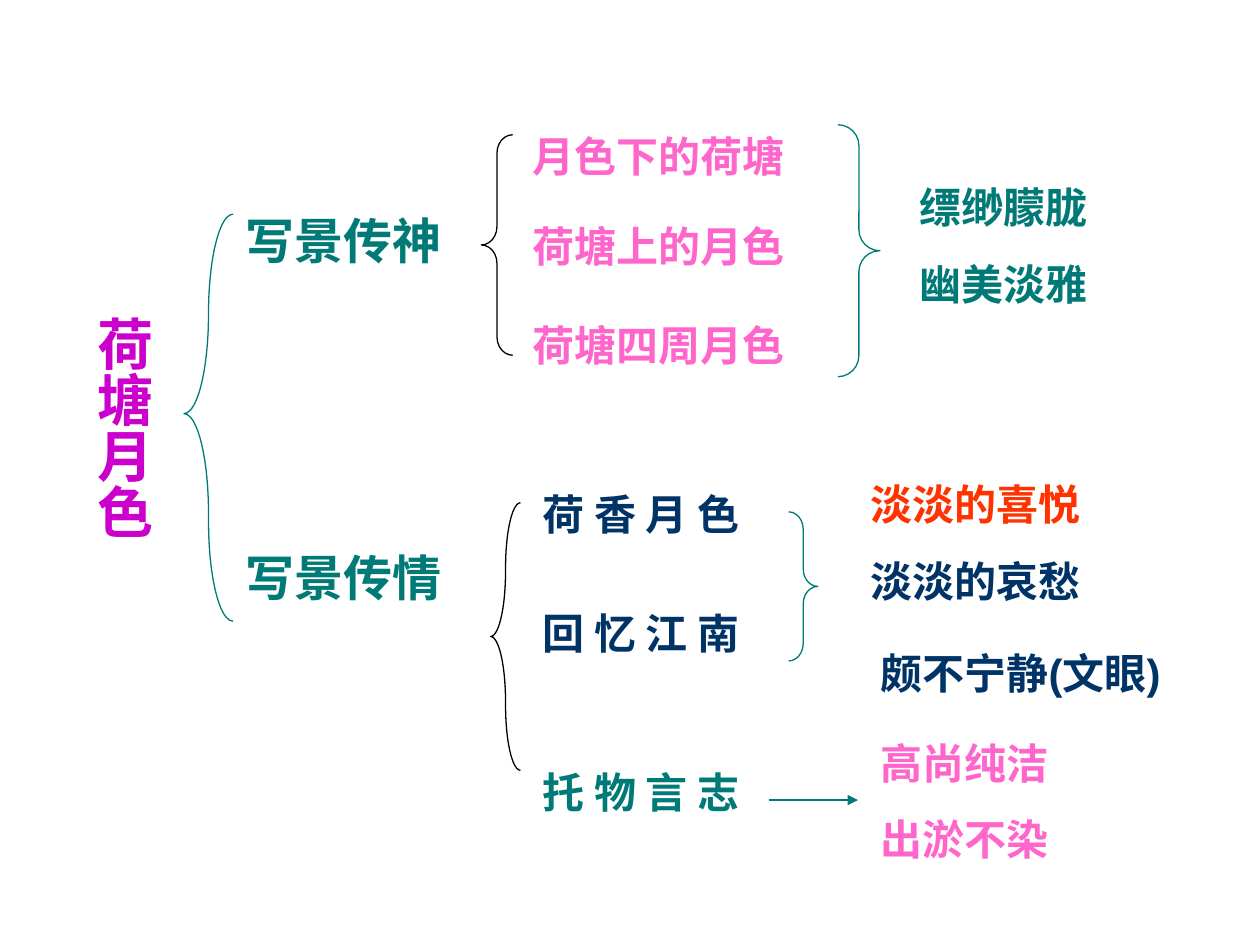
from dataclasses import dataclass

from lxml import etree
from pptx import Presentation
from pptx.dml.color import RGBColor
from pptx.enum.lang import MSO_LANGUAGE_ID
from pptx.enum.shapes import MSO_CONNECTOR, MSO_SHAPE
from pptx.enum.text import MSO_ANCHOR, PP_ALIGN
from pptx.oxml.ns import qn
from pptx.util import Pt

LEFT_BRACE = MSO_SHAPE.LEFT_BRACE
RIGHT_BRACE = MSO_SHAPE.RIGHT_BRACE
STRAIGHT = MSO_CONNECTOR.STRAIGHT
TOP = MSO_ANCHOR.TOP
CENTER = PP_ALIGN.CENTER
CHINESE = MSO_LANGUAGE_ID.SIMPLIFIED_CHINESE


@dataclass(frozen=True)
class Theme:
    purple: str = "CC00CC"
    teal: str = "007A77"
    pink: str = "FF66CC"
    navy: str = "003366"
    red: str = "FF3300"
    black: str = "000000"
    title_font: str = "Times New Roman"
    body_font: str = "Arial"
    title_size: int = 32
    branch_size: int = 28
    item_size: int = 24
    item_gap: int = 15
    brace_width: float = 0.75
    arrow_width: float = 1


THEME = Theme()


def format_text(para, size, color, font_name):
    for span in para.runs:
        span.font.name = font_name
        span.font.size = Pt(size)
        span.font.bold = True
        span.font.color.rgb = RGBColor.from_string(color)
        span.font.language_id = CHINESE


def add_label(page, left, top, width, lines, size=THEME.item_size):
    height = len(lines) * size * 1.5 + (len(lines) - 1) * THEME.item_gap
    box = page.shapes.add_textbox(Pt(left), Pt(top), Pt(width), Pt(height))
    frame = box.text_frame
    frame.word_wrap = True
    frame.vertical_anchor = TOP
    frame.text = "\n".join(text for text, color in lines)
    for index, (para, (text, color)) in enumerate(zip(frame.paragraphs, lines)):
        para.space_before = Pt(THEME.item_gap if index else 0)
        format_text(para, size, color, THEME.body_font)


def add_vertical_title(page, left, top, width, height, text):
    box = page.shapes.add_textbox(Pt(left), Pt(top), Pt(width), Pt(height))
    frame = box.text_frame
    frame.word_wrap = True
    frame.margin_left = frame.margin_right = Pt(3.6)
    frame.margin_top = frame.margin_bottom = Pt(7.2)
    box.element.txBody.bodyPr.set("vert", "eaVert")
    frame.text = text
    para = frame.paragraphs[0]
    para.alignment = CENTER
    format_text(para, THEME.title_size, THEME.purple, THEME.title_font)


def add_brace(page, kind, left, top, width, height, curl, color, middle=0.5):
    brace = page.shapes.add_shape(kind, Pt(left), Pt(top), Pt(width), Pt(height))
    brace.shadow.inherit = False
    brace.adjustments[0] = curl
    brace.adjustments[1] = middle
    brace.fill.background()
    brace.line.color.rgb = RGBColor.from_string(color)
    brace.line.width = Pt(THEME.brace_width)


def add_arrow(page, left, right, height, color):
    arrow = page.shapes.add_connector(
        STRAIGHT, Pt(left), Pt(height), Pt(right), Pt(height))
    arrow.line.color.rgb = RGBColor.from_string(color)
    arrow.line.width = Pt(THEME.arrow_width)
    tip = etree.SubElement(arrow.line._get_or_add_ln(), qn("a:tailEnd"))
    tip.set("type", "triangle")
    etree.SubElement(arrow.element.spPr, qn("a:effectLst"))


def main():
    deck = Presentation()
    deck.slide_width, deck.slide_height = Pt(720), Pt(540)
    page = deck.slides.add_slide(deck.slide_layouts[6])

    add_vertical_title(page, 41, 173.5, 52.6, 226.8, "荷塘月色")
    add_brace(page, LEFT_BRACE, 105.1, 122.4, 28.1, 232.6, 2.03, THEME.teal, 0.49)
    for top, text in ((116.6, "写景传神"), (309.6, "写景传情")):
        add_label(page, 133.2, top, 136, [(text, THEME.teal)], THEME.branch_size)

    add_brace(page, LEFT_BRACE, 275, 77, 18, 126, 0.58, THEME.black)
    for top, text in ((71.3, "月色下的荷塘"), (122.4, "荷塘上的月色"),
                      (179.3, "荷塘四周月色")):
        add_label(page, 297.4, top, 180, [(text, THEME.pink)])
    add_brace(page, RIGHT_BRACE, 478.8, 71.3, 24, 144, 0.5, THEME.teal)
    add_label(page, 518.4, 100.1, 181.4,
              [("缥缈朦胧", THEME.teal), ("幽美淡雅", THEME.teal)])

    add_brace(page, LEFT_BRACE, 280.4, 287.3, 17, 152.9, 2.2, THEME.black)
    for top, text, color in ((275.8, "荷 香 月 色", THEME.navy),
                             (343.4, "回 忆 江 南", THEME.navy),
                             (434.2, "托 物 言 志", THEME.teal)):
        add_label(page, 303.1, top, 147.6, [(text, color)])
    add_brace(page, RIGHT_BRACE, 450.7, 292.5, 16.6, 85.2, 0.6, THEME.teal)
    add_label(page, 490.3, 270, 181.4,
              [("淡淡的喜悦", THEME.red), ("淡淡的哀愁", THEME.navy)])
    add_label(page, 496.1, 366.5, 193, [("颇不宁静(文眼)", THEME.navy)])

    add_arrow(page, 439.2, 490.3, 457.2, THEME.teal)
    add_label(page, 496.1, 417.6, 170,
              [("高尚纯洁", THEME.pink), ("出淤不染", THEME.pink)])

    deck.save("out.pptx")


if __name__ == "__main__":
    main()
